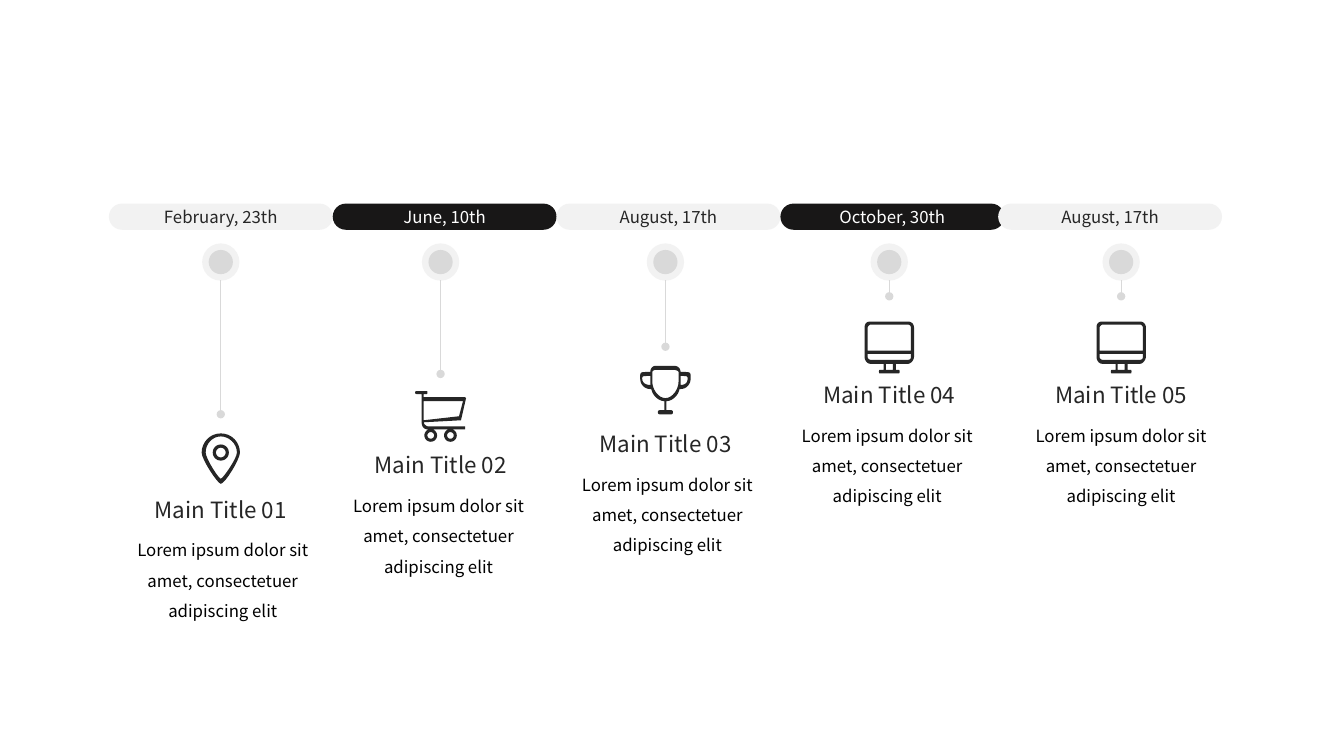
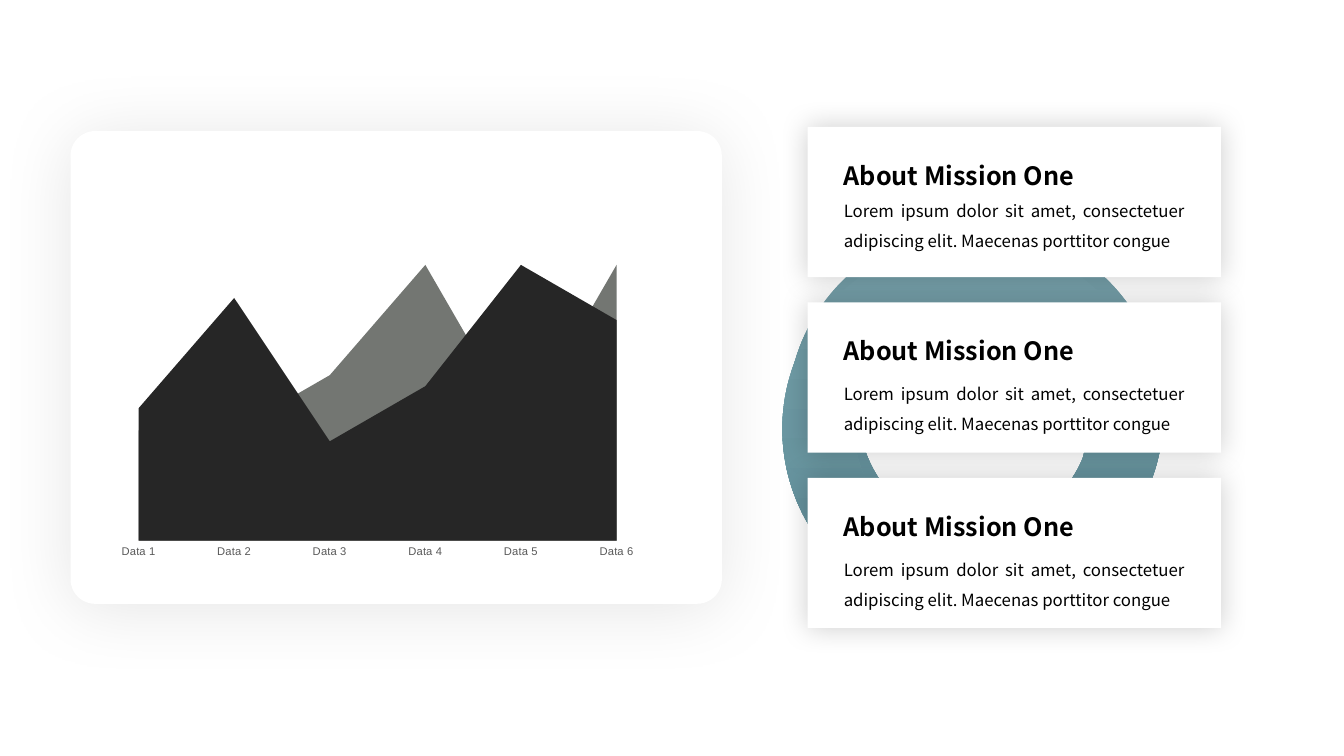
from math import cos, pi, sin

from lxml import etree
from pptx import Presentation
from pptx.chart.data import CategoryChartData
from pptx.dml.color import RGBColor
from pptx.enum.chart import XL_CHART_TYPE, XL_TICK_MARK
from pptx.enum.shapes import MSO_CONNECTOR, MSO_SHAPE
from pptx.enum.text import MSO_ANCHOR, MSO_AUTO_SIZE, PP_ALIGN
from pptx.oxml import parse_xml
from pptx.oxml.ns import nsdecls, qn
from pptx.util import Inches, Pt

AREA = XL_CHART_TYPE.AREA
NO_TICK = XL_TICK_MARK.NONE
STRAIGHT = MSO_CONNECTOR.STRAIGHT
RECT, ROUND = MSO_SHAPE.RECTANGLE, MSO_SHAPE.ROUNDED_RECTANGLE
OVAL, DONUT = MSO_SHAPE.OVAL, MSO_SHAPE.DONUT
MIDDLE = MSO_ANCHOR.MIDDLE
GROW = MSO_AUTO_SIZE.SHAPE_TO_FIT_TEXT
LEFT, CENTER, JUSTIFY = PP_ALIGN.LEFT, PP_ALIGN.CENTER, PP_ALIGN.JUSTIFY

BLACK = RGBColor(0x00, 0x00, 0x00)
WHITE = RGBColor(0xFF, 0xFF, 0xFF)
INK = RGBColor(0x26, 0x26, 0x26)
PILL_DARK = RGBColor(0x18, 0x17, 0x17)
PALE = RGBColor(0xF2, 0xF2, 0xF2)
SILVER = RGBColor(0xD9, 0xD9, 0xD9)
LABEL_GRAY = RGBColor(0x59, 0x59, 0x59)
AREA_GRAY = RGBColor(0x73, 0x76, 0x72)
TEAL_LIGHT = RGBColor(0x76, 0xA0, 0xAA)
TEAL_DARK = RGBColor(0x5E, 0x8D, 0x98)

FONT, CHART_FONT = "Noto Sans CJK KR", "Arial"
UNIT = Inches(0.01)

MILESTONE_TEXT = "Lorem ipsum dolor sit amet, consectetuer adipiscing elit"
MISSION_TEXT = ("Lorem ipsum dolor sit amet, consectetuer adipiscing elit. "
                "Maecenas porttitor congue")


def circle(cx, cy, radius, steps=32):
    """Return the points of a circle."""
    return [(cx + radius * cos(2 * pi * i / steps),
             cy + radius * sin(2 * pi * i / steps)) for i in range(steps)]


def flatten(outline, steps=8):
    """Turn points and cubic curves (six numbers) into a list of points."""
    pts = []
    for seg in outline:
        if len(seg) == 2:
            pts.append(seg)
            continue
        chain = (pts[-1], seg[:2], seg[2:4], seg[4:])
        for i in range(1, steps + 1):
            t = i / steps
            weights = ((1 - t) ** 3, 3 * t * (1 - t) ** 2,
                       3 * t * t * (1 - t), t ** 3)
            pts.append(tuple(sum(w * pt[axis] for w, pt in zip(weights, chain))
                             for axis in (0, 1)))
    return pts


PIN = [
    [(19, 0), (8, 0, 0, 9, 0, 19), (0, 26, 16, 50, 19, 50),
     (23, 50, 38, 26, 38, 19), (38, 9, 30, 0, 19, 0)],
    [(19, 45), (17, 45, 4, 25, 4, 19), (4, 10, 11, 3, 19, 3),
     (27, 3, 35, 10, 35, 19), (35, 25, 21, 45, 19, 45)],
    circle(19, 19, 8), circle(19, 19, 4.8),
]
CART = [
    [(13, 35), (12, 35, 9, 33, 9, 31), (46, 29), (51, 7), (50, 6), (9, 6),
     (9, 3), (12, 3), (13, 3, 13, 0, 12, 0), (2, 0), (0, 0, 0, 3, 2, 3),
     (7, 3), (7, 31), (7, 35, 9, 38, 13, 38), (50, 38), (50, 35)],
    [(9, 10), (48, 10), (44, 25), (9, 29)],
    circle(16, 44, 6.3), circle(16, 44, 3.3),
    circle(35.5, 44, 6.3), circle(35.5, 44, 3.3),
]
TROPHY = [
    [(41, 6), (41, 3, 39, 0, 35, 0), (16, 0), (13, 0, 11, 3, 11, 6),
     (0, 6, 1, 6, 1, 13), (1, 18, 5, 23, 11, 23), (12, 23),
     (13, 29, 19, 35, 25, 35), (25, 44), (20, 44), (18, 44, 18, 48, 20, 48),
     (32, 48), (34, 48, 34, 44, 32, 44), (27, 44), (27, 35),
     (33, 35, 39, 29, 40, 23), (41, 23), (47, 23, 51, 18, 51, 13),
     (51, 6, 52, 6, 41, 6)],
    [(11, 19), (7, 19, 3, 17, 3, 13), (3, 10, 3, 10, 11, 10)],
    [(39, 16), (39, 23, 33, 32, 26, 32), (19, 32, 13, 23, 13, 16), (13, 6),
     (13, 5, 15, 4, 16, 4), (35, 4), (36, 4, 39, 5, 39, 6)],
    [(41, 19), (41, 10), (48, 10, 48, 10, 48, 13), (48, 17, 45, 19, 41, 19)],
]
MONITOR = [
    [(43, 0), (6, 0), (2, 0, 0, 2, 0, 6), (0, 35), (0, 38, 2, 42, 6, 42),
     (19, 42), (19, 48), (15, 48), (14, 48, 14, 51.5, 15, 51.5), (34, 51.5),
     (35, 51.5, 35, 48, 34, 48), (31, 48), (31, 42), (43, 42),
     (46, 42, 49, 38, 49, 35), (49, 6), (49, 2, 46, 0, 43, 0)],
    [(21, 42), (28, 42), (28, 48), (21, 48)],
    [(3, 32), (46, 32), (46, 35), (46, 37, 45, 38, 43, 38), (6, 38),
     (5, 38, 3, 37, 3, 35)],
    [(3, 29), (3, 6), (3, 5, 5, 3, 6, 3), (43, 3), (45, 3, 46, 5, 46, 6),
     (46, 29)],
]

MILESTONES = [
    ("February, 23th", "Main Title 01", PIN, 2.19, 4.11, 4.3, 4.92, 2.21),
    ("June, 10th", "Main Title 02", CART, 4.37, 3.71, 3.88, 4.48, 4.35),
    ("August, 17th", "Main Title 03", TROPHY, 6.6, 3.44, 3.63, 4.27, 6.62),
    ("October, 30th", "Main Title 04", MONITOR, 8.82, 2.94, 3.19, 3.78, 8.8),
    ("August, 17th", "Main Title 05", MONITOR, 11.12, 2.94, 3.19, 3.78, 11.12),
]


def add_run(tf, text, size, color, align, spacing=None, bold=False):
    """Write one run into the first paragraph of a frame."""
    p = tf.paragraphs[0]
    p.alignment = align
    if spacing:
        p.line_spacing = spacing
    r = p.add_run()
    r.text = text
    r.font.name, r.font.size, r.font.bold = FONT, Pt(size), bold
    r.font.color.rgb = color


def add_label(s, box, text, size, color, align, spacing=None, bold=False):
    """Add a wrapping text box."""
    tf = s.shapes.add_textbox(*map(Inches, box)).text_frame
    tf.word_wrap = True
    tf.auto_size = GROW
    add_run(tf, text, size, color, align, spacing, bold)


def add_block(s, kind, box, color=None, adj=None):
    """Add a preset shape without a line or shadow."""
    sp = s.shapes.add_shape(kind, *map(Inches, box))
    sp.shadow.inherit = False
    sp.line.fill.background()
    if color is not None:
        sp.fill.solid()
        sp.fill.fore_color.rgb = color
    if adj is not None:
        sp.adjustments[0] = adj
    return sp


def add_shadow(sp, alpha, blur, dist=0, angle=0):
    """Give a shape a soft black outer shadow."""
    effects = sp.element.spPr.find(qn("a:effectLst"))
    effects.append(parse_xml(
        f'<a:outerShdw {nsdecls("a")} blurRad="{Pt(blur)}" dist="{Pt(dist)}" '
        f'dir="{angle * 60000}" algn="ctr" rotWithShape="0">'
        f'<a:srgbClr val="000000"><a:alpha val="{alpha * 1000}"/></a:srgbClr>'
        '</a:outerShdw>'))


def add_icon(s, icon, cx, top):
    """Draw a cut-out icon centred on cx."""
    outlines = [[(x * UNIT, y * UNIT) for x, y in flatten(o)] for o in icon]
    xs = [x for x, _ in outlines[0]]
    fb = s.shapes.build_freeform(*outlines[0][0], scale=1.0)
    for i, pts in enumerate(outlines):
        if i:
            fb.move_to(*pts[0])
        fb.add_line_segments(pts[1:], close=True)
    left = Inches(cx) - int((min(xs) + max(xs)) / 2)
    sp = fb.convert_to_shape(left, Inches(top))
    sp.shadow.inherit = False
    sp.fill.solid()
    sp.fill.fore_color.rgb = INK
    sp.line.fill.background()


def add_marker(s, cx, cy, end):
    """Draw a two-ring marker with a stem that ends in a dot."""
    for size, color in ((0.37, PALE), (0.24, SILVER)):
        add_block(s, OVAL, (cx - size / 2, cy - size / 2, size, size), color)
    stem = s.shapes.add_connector(
        STRAIGHT, *map(Inches, (cx, cy + 0.18, cx, end)))
    stem.line.color.rgb = SILVER
    stem.line.width = Pt(0.5)
    etree.SubElement(stem.line._get_or_add_ln(), qn("a:tailEnd"), type="oval")
    etree.SubElement(stem.element.spPr, qn("a:effectLst"))


def add_milestone(s, pill, dark, milestone):
    """Draw a date pill with its marker, icon, title and text."""
    date, title, icon, cx, end, icon_top, title_top, text_cx = milestone
    sp = add_block(s, ROUND, pill, PILL_DARK if dark else PALE, 0.5)
    sp.text_frame.vertical_anchor = MIDDLE
    add_run(sp.text_frame, date, 12, WHITE if dark else INK, CENTER)
    add_marker(s, cx, pill[1] + 0.58, end)
    add_icon(s, icon, cx, icon_top)
    add_label(s, (cx - 0.81, title_top, 1.62, 0.32), title, 16, INK, CENTER, 0.8)
    add_label(s, (text_cx - 1.01, title_top + 0.29, 2.02, 0.97),
              MILESTONE_TEXT, 12, BLACK, CENTER, 1.5)


def build_timeline(s, left=1.08, top=2.02, width=2.22, last_left=9.9):
    """Lay the milestones out along a row of pills."""
    for i, milestone in enumerate(MILESTONES):
        pill = (min(left + i * width, last_left), top, width, 0.26)
        add_milestone(s, pill, i % 2 == 1, milestone)


def add_area_chart(s, box):
    """Add the two-series area chart."""
    data = CategoryChartData()
    data.categories = [f"Data {i}" for i in range(1, 7)]
    data.add_series("Series 1", (48, 88, 36, 56, 100, 80))
    data.add_series("Series 2", (40, 40, 60, 100, 40, 100))
    chart = s.shapes.add_chart(AREA, *map(Inches, box), data).chart
    chart.has_title = chart.has_legend = False
    chart.font.name, chart.font.size = CHART_FONT, Pt(8)
    chart.font.color.rgb = BLACK
    plot = chart.plots[0]
    plot.vary_by_categories = False
    for series, color in zip(plot.series, (INK, AREA_GRAY)):
        series.format.fill.solid()
        series.format.fill.fore_color.rgb = color
    val = chart.value_axis
    val.visible = val.has_major_gridlines = False
    val.minimum_scale, val.maximum_scale = 0, 120
    cat = chart.category_axis
    cat.has_major_gridlines = False
    cat.major_tick_mark = cat.minor_tick_mark = NO_TICK
    cat.format.line.color.rgb = SILVER
    cat.format.line.width = Pt(0.75)
    font = cat.tick_labels.font
    font.name, font.size = CHART_FONT, Pt(8)
    font.color.rgb = LABEL_GRAY


def add_chart_panel(s, left, top, width, height):
    """Draw the rounded panel with the chart inside."""
    panel = add_block(s, ROUND, (left, top, width, height), WHITE, 0.052)
    add_shadow(panel, 10, 52, 4, 90)
    add_area_chart(s, (left + 0.4, top + 0.71, 5.29, 3.59))


def add_ring(s, left, top, size):
    """Draw a teal gradient ring."""
    sp = add_block(s, DONUT, (left, top, size, size), adj=0.191)
    sp.fill.gradient()
    sp.fill.gradient_angle = 270
    stops = zip(sp.fill.gradient_stops, (0.05, 1), (TEAL_LIGHT, TEAL_DARK))
    for stop, position, color in stops:
        stop.position = position
        stop.color.rgb = color


def add_mission_card(s, left, top, text_gap):
    """Draw a white card with a heading and a text."""
    add_shadow(add_block(s, RECT, (left, top, 4.1, 1.49), WHITE), 20, 20)
    add_label(s, (left + 0.26, top + 0.28, 3.58, 0.36),
              "About Mission One", 18, BLACK, LEFT, bold=True)
    add_label(s, (left + 0.26, top + text_gap, 3.58, 0.67),
              MISSION_TEXT, 12, BLACK, JUSTIFY, 1.5)


def build_mission(s):
    """Place the chart panel, the rings and the cards."""
    add_chart_panel(s, 0.7, 1.3, 6.46, 4.69)
    for left, top in ((7.81, 2.24), (7.76, 2.39)):
        add_ring(s, left, top, 3.73)
    for i, text_gap in enumerate((0.58, 0.66, 0.66)):
        add_mission_card(s, 8.01, 1.26 + i * 1.74, text_gap)


def main():
    """Build and save the presentation."""
    prs = Presentation()
    prs.slide_width, prs.slide_height = Inches(13.33), Inches(7.5)
    for build in (build_timeline, build_mission):
        build(prs.slides.add_slide(prs.slide_layouts[6]))
    prs.save("out.pptx")


if __name__ == "__main__":
    main()
